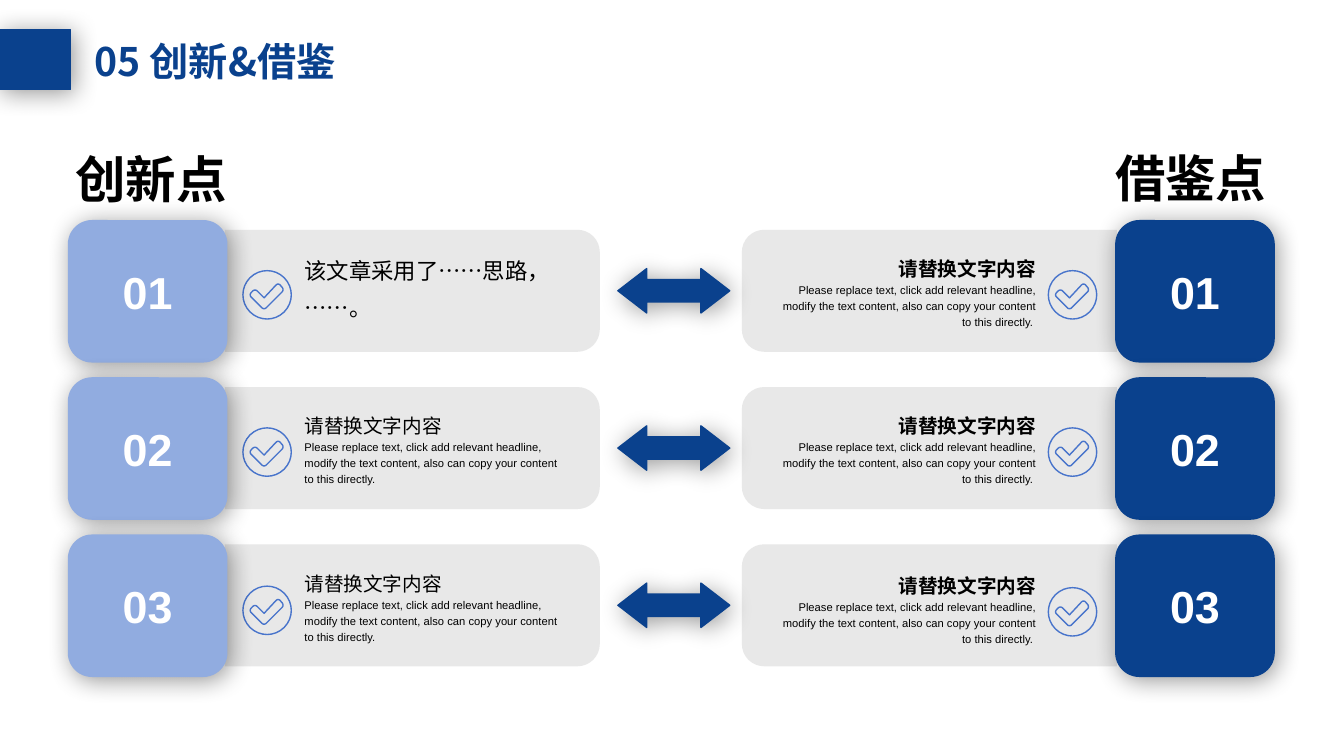
from copy import deepcopy
from dataclasses import dataclass

from lxml import etree
from pptx import Presentation
from pptx.dml.color import RGBColor
from pptx.enum.shapes import MSO_SHAPE
from pptx.enum.text import MSO_ANCHOR, MSO_AUTO_SIZE, PP_ALIGN
from pptx.oxml.ns import qn
from pptx.util import Inches, Pt

RECTANGLE = MSO_SHAPE.RECTANGLE
ROUNDED = MSO_SHAPE.ROUNDED_RECTANGLE
DOUBLE_ARROW = MSO_SHAPE.LEFT_RIGHT_ARROW
LEFT, CENTER, RIGHT = PP_ALIGN.LEFT, PP_ALIGN.CENTER, PP_ALIGN.RIGHT
TOP, MIDDLE = MSO_ANCHOR.TOP, MSO_ANCHOR.MIDDLE
FIXED = MSO_AUTO_SIZE.NONE


@dataclass(frozen=True)
class Theme:
    navy: str = "0A418D"
    sky: str = "91ACE0"
    icon: str = "4874CB"
    panel: str = "E6E6E6"
    ink: str = "000000"
    white: str = "FFFFFF"
    latin: str = "Arial"
    cjk: str = "Noto Sans CJK SC"
    title: int = 28
    heading: int = 36
    number: int = 32
    lead: int = 16
    subhead: int = 14
    body: int = 8


@dataclass(frozen=True)
class Side:
    heading: str
    heading_box: tuple
    align: int
    color: str
    card: float
    panel: float
    corners: tuple
    icon: float
    copy: float
    bold: bool
    points: tuple


def round_corners(points, radii, steps=8):
    outline = []
    for i, (x, y) in enumerate(points):
        radius = radii[i]
        if not radius:
            outline.append((x, y))
            continue
        ends = []
        for nx, ny in (points[i - 1], points[(i + 1) % len(points)]):
            share = radius / ((nx - x) ** 2 + (ny - y) ** 2) ** 0.5
            ends.append((x + (nx - x) * share, y + (ny - y) * share))
        (ax, ay), (bx, by) = ends
        for step in range(steps + 1):
            t = step / steps
            a, c, b = (1 - t) ** 2, 1.41 * t * (1 - t), t * t
            total = a + b + c
            outline.append(((a * ax + c * x + b * bx) / total,
                            (a * ay + c * y + b * by) / total))
    return outline


def rectangle(left, top, width, height):
    right, bottom = left + width, top + height
    return [(left, top), (right, top), (right, bottom), (left, bottom)]


class SlideBuilder:
    cell = Inches(0.1)
    columns, rows = 133.33, 75

    def __init__(self, theme):
        self.theme = theme
        self.deck = Presentation()
        self.deck.slide_width, self.deck.slide_height = self.grid(self.columns, self.rows)
        self.slide = self.deck.slides.add_slide(self.deck.slide_layouts[5])

    def grid(self, *lengths):
        return [round(length * self.cell) for length in lengths]

    def style(self, run, size, color, bold=False, latin=None):
        run.font.size, run.font.bold = Pt(size), bold
        run.font.color.rgb = RGBColor.from_string(color)
        run.font.name = latin or self.theme.latin
        etree.SubElement(run.font._element, qn("a:ea"), typeface=self.theme.cjk)

    def paint(self, shape, color):
        shape.fill.solid()
        shape.fill.fore_color.rgb = RGBColor.from_string(color)

    def title(self, text, box):
        title = self.slide.shapes.title
        title.left, title.top, title.width, title.height = self.grid(*box)
        frame = title.text_frame
        frame.text, frame.auto_size, frame.vertical_anchor = text, FIXED, MIDDLE
        frame.paragraphs[0].alignment = LEFT
        self.style(frame.paragraphs[0].runs[0], self.theme.title, self.theme.navy,
                   True, self.theme.cjk)

    def block(self, kind, box, color, label="", adjustments=()):
        block = self.slide.shapes.add_shape(kind, *self.grid(*box))
        for i, value in enumerate(adjustments):
            block.adjustments[i] = value
        self.paint(block, color)
        block.line.color.rgb = RGBColor.from_string(color)
        block.line.width = Pt(1)
        block.shadow.inherit = False
        effects = block._element.spPr.find(qn("a:effectLst"))
        shadow = etree.SubElement(effects, qn("a:outerShdw"), blurRad=str(Pt(18)),
                                  dist=str(Pt(3)), dir=str(45 * 60000), rotWithShape="0")
        tint = etree.SubElement(shadow, qn("a:srgbClr"), val=self.theme.ink)
        etree.SubElement(tint, qn("a:alpha"), val="40000")
        if label:
            frame = block.text_frame
            frame.text, frame.vertical_anchor = label, MIDDLE
            frame.paragraphs[0].alignment = CENTER
            self.style(frame.paragraphs[0].runs[0], self.theme.number, self.theme.white, True)

    def outline(self, contours):
        paths = [[self.grid(*point) for point in contour] for contour in contours]
        builder = self.slide.shapes.build_freeform(*paths[0][0])
        builder.add_line_segments(paths[0][1:])
        for contour in paths[1:]:
            builder.move_to(*contour[0])
            builder.add_line_segments(contour[1:])
        shape = builder.convert_to_shape()
        shape.shadow.inherit = False
        return shape

    def panel(self, box, corners):
        panel = self.outline([round_corners(rectangle(*box), corners)])
        self.paint(panel, self.theme.panel)
        panel.line.fill.background()
        tint = panel._element.spPr.find(qn("a:solidFill"))[0]
        etree.SubElement(tint, qn("a:alpha"), val="90000")

    def check_icon(self, left, top):
        tick = [(4.1, 1.9), (3.5, 1.2), (2.1, 2.7), (1.2, 1.8), (0.6, 2.4), (2.1, 3.9)]
        tick = [(left + x, top + y) for x, y in tick]
        icon = self.outline([
            round_corners(rectangle(left, top, 4.8, 4.8), [2.4] * 4),
            round_corners(tick, (0.3, 0.3, 0, 0.3, 0.3, 0.3)),
        ])
        icon.fill.background()
        icon.line.color.rgb = RGBColor.from_string(self.theme.icon)
        icon.line.width = Pt(1)

    def text(self, box, paragraphs, sizes, align, bold, latin=None, inset=None, spacing=None):
        frame = self.slide.shapes.add_textbox(*self.grid(*box)).text_frame
        frame.word_wrap, frame.vertical_anchor = True, TOP
        if inset is not None:
            frame.margin_left = frame.margin_right = inset
            frame.margin_top = frame.margin_bottom = inset
        for i, content in enumerate(paragraphs):
            paragraph = frame.add_paragraph() if i else frame.paragraphs[0]
            paragraph.text, paragraph.alignment = content, align
            if spacing:
                paragraph.line_spacing = spacing
            if i:
                paragraph.space_before = Pt(sizes[0] * 0.2)
            for order, (run, size) in enumerate(zip(paragraph.runs, sizes)):
                self.style(run, size, self.theme.ink, bold and order == 0, latin)
            for line_break in paragraph._p.findall(qn("a:br")):
                line_break.append(deepcopy(paragraph.runs[0].font._element))


def main():
    theme = Theme()
    page = SlideBuilder(theme)
    first_row, pitch = 21.9, 15.6
    sample = ("请替换文字内容\vPlease replace text, click add relevant headline, modify the "
              "text content, also can copy your content to this directly.")
    sample_sizes = (theme.subhead, theme.body)
    lead = (["该文章采用了……思路，", "……。"], (theme.lead,), 3.1)
    mirrored = [sample + " "]
    sides = (
        Side("创新点", (6.5, 14.2, 37.2, 7.1), LEFT, theme.sky, 6.8, 22.3,
             (0, 2.2, 2.2, 0), 24.1, 30.2, False,
             (lead, ([sample], sample_sizes, 3.1), ([sample], sample_sizes, 3.2))),
        Side("借鉴点", (89.4, 14.1, 37.2, 7.1), RIGHT, theme.navy, 110.7, 73.6,
             (2.2, 0, 0, 2.2), 104, 77, True,
             tuple((mirrored, sample_sizes, drop) for drop in (3.1, 3.1, 3.35))),
    )

    page.block(RECTANGLE, (0, 2.9, 7, 6), theme.navy)
    page.title("05 创新&借鉴", (8.4, 3.2, 37.2, 5.7))
    for side in sides:
        for row, (paragraphs, sizes, drop) in enumerate(side.points):
            top = first_row + row * pitch
            page.panel((side.panel, top + 0.9, 37.2, 12.1), side.corners)
            page.text((side.copy, top + drop, 25.8, 7.7), paragraphs, sizes,
                      side.align, side.bold, inset=0, spacing=1.2)
            page.check_icon(side.icon, top + drop + 1.85)
            page.block(ROUNDED, (side.card, top, 15.7, 14), side.color, f"{row + 1:02}")
        page.text(side.heading_box, [side.heading], (theme.heading,), side.align,
                  True, theme.cjk)
    for row in range(3):
        page.block(DOUBLE_ARROW, (61.3, first_row + row * pitch + 4.75, 11.1, 4.4),
                   theme.navy, adjustments=(0.5, 0.65))
    page.deck.save("out.pptx")


if __name__ == "__main__":
    main()
